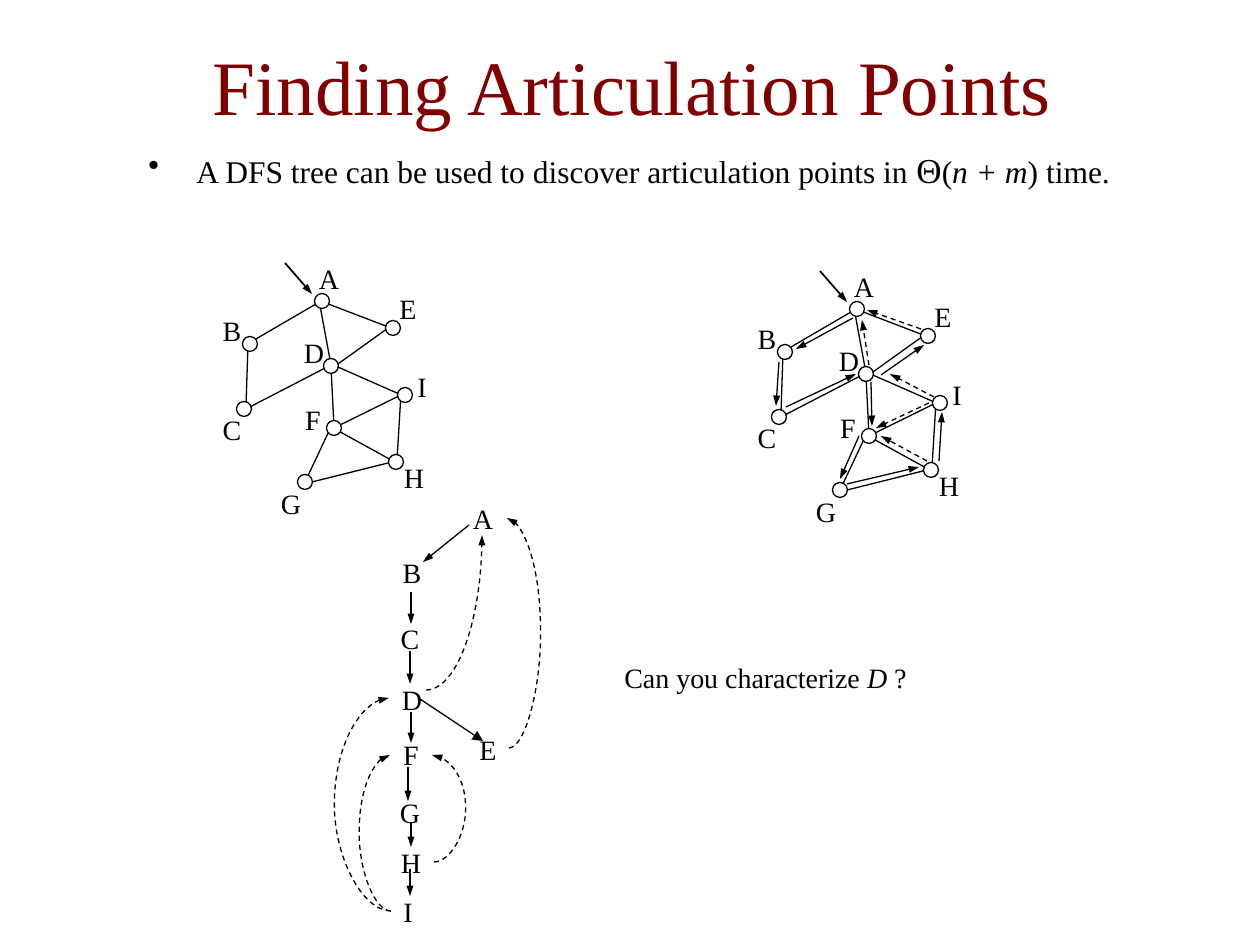
"""Build the slide on finding articulation points with a depth-first search tree."""
from math import cos, pi, sin

from lxml import etree
from pptx import Presentation
from pptx.dml.color import RGBColor
from pptx.enum.dml import MSO_LINE
from pptx.enum.shapes import MSO_CONNECTOR, MSO_SHAPE
from pptx.enum.text import MSO_ANCHOR, PP_ALIGN
from pptx.oxml.ns import qn
from pptx.util import Pt

STRAIGHT, CURVE = MSO_CONNECTOR.STRAIGHT, MSO_CONNECTOR.CURVE
OVAL, DASH = MSO_SHAPE.OVAL, MSO_LINE.DASH
MIDDLE, BOTTOM, TOP = MSO_ANCHOR.MIDDLE, MSO_ANCHOR.BOTTOM, MSO_ANCHOR.TOP
CENTER, LEFT = PP_ALIGN.CENTER, PP_ALIGN.LEFT

FONT = "Times New Roman"
BLACK, WHITE, MAROON = "000000", "FFFFFF", "800000"
SCALE = 914400 / 126
NODE_SIZE = 15
LABEL_SIZE = (45, 47)

TITLE = [("Finding Articulation Points", {})]
BULLET = [
    ("A DFS tree can be used to discover articulation points in ", {}),
    ("Θ", {"size": Pt(20)}),
    ("(", {}),
    ("n + m", {"italic": True}),
    (") time.", {}),
]
QUESTION = [("Can you characterize ", {}), ("D", {"italic": True}), (" ?", {})]

GRAPH_OFFSETS = [(0, 0), (535, 8)]
ENTRY_ARROW = (285, 263, 312, 294)
NODES = [
    (322, 301), (250, 344), (244, 409), (331, 366), (393, 328),
    (334, 428), (305, 482), (396, 462), (405, 395),
]
NODE_LABELS = {
    "A": (329, 278), "B": (232, 330), "C": (232, 429), "D": (314, 352),
    "E": (408, 308), "F": (313, 419), "G": (291, 503), "H": (414, 477),
    "I": (422, 386),
}
EDGES = [
    (256, 339, 316, 304), (248, 345, 246, 406), (319, 300, 331, 365),
    (331, 367, 334, 427), (331, 427, 306, 480), (333, 428, 393, 461),
    (304, 484, 396, 461), (323, 302, 391, 328), (244, 410, 333, 364),
    (331, 369, 391, 326), (401, 394, 397, 460), (334, 428, 407, 392),
    (331, 364, 406, 397),
]
DISCOVERY_ARROWS = [
    (881, 375, 924, 345), (853, 318, 796, 349), (779, 362, 776, 406),
    (786, 407, 856, 374), (871, 382, 872, 426), (939, 461, 942, 412),
    (847, 484, 919, 467), (859, 436, 840, 479),
]
BACK_ARROWS = [
    (921, 329, 867, 310), (869, 365, 862, 320), (934, 397, 890, 374),
    (929, 403, 876, 428), (927, 461, 881, 436),
]
TREE_LABELS = {
    "A": (483, 518), "B": (412, 572), "C": (410, 638), "D": (412, 699),
    "E": (488, 749), "F": (411, 754), "G": (410, 812), "H": (411, 862),
    "I": (408, 911),
}
TREE_ARROWS = [
    (469, 525, 423, 562), (411, 592, 411, 624), (410, 651, 410, 684),
    (411, 712, 411, 743), (408, 767, 408, 801), (411, 822, 411, 847),
    (410, 869, 410, 896),
]
BRANCH_ARROW = (420, 699, 483, 741)
BACK_CURVES = [
    ((509, 748, 507, 518), 541), ((434, 862, 432, 755), 466),
    ((391, 911, 390, 755), 359), ((391, 911, 389, 698), 334),
]
BACK_ARC = (426, 690, 482, 535)


def px(length):
    return round(length * SCALE)


def color(value):
    return RGBColor.from_string(value)


def style_line(shape, width=0.75, dashed=False, head=None):
    line = shape.line
    line.width = Pt(width)
    line.fill.solid()
    line.fill.fore_color.rgb = color(BLACK)
    if dashed:
        line.dash_style = DASH
    if head:
        outline = shape._element.spPr.find(qn("a:ln"))
        etree.SubElement(outline, qn("a:tailEnd"), type="triangle", w=head, len="med")


def add_line(page, ends, kind=STRAIGHT, **style):
    line = page.shapes.add_connector(kind, *map(px, ends))
    style_line(line, **style)
    etree.SubElement(line._element.spPr, qn("a:effectLst"))
    return line


def add_curve(page, ends, bulge):
    curve = add_line(page, ends, CURVE, dashed=True, head="sm")
    ratio = (bulge - ends[0]) / (ends[2] - ends[0])
    geometry = curve._element.spPr.find(qn("a:prstGeom"))
    guides = geometry.find(qn("a:avLst"))
    if guides is None:
        guides = etree.SubElement(geometry, qn("a:avLst"))
    etree.SubElement(guides, qn("a:gd"), name="adj1", fmla=f"val {round(ratio * 100000)}")


def add_arc(page, ends, steps=24):
    left, bottom, right, top = ends
    points = []
    for step in range(steps + 1):
        angle = pi / 2 * step / steps
        points.append((px(left + (right - left) * sin(angle)),
                       px(top + (bottom - top) * cos(angle))))
    builder = page.shapes.build_freeform(*points[0])
    builder.add_line_segments(points[1:], close=False)
    arc = builder.convert_to_shape()
    arc.fill.background()
    arc.shadow.inherit = False
    style_line(arc, dashed=True, head="sm")


def add_text(page, area, runs, size=16, fill=BLACK, align=CENTER, anchor=MIDDLE, wrap=False):
    box = page.shapes.add_textbox(*map(px, area))
    frame = box.text_frame
    frame.word_wrap = wrap
    frame.vertical_anchor = anchor
    para = frame.paragraphs[0]
    para.alignment = align
    para.font.name = FONT
    para.font.size = Pt(size)
    para.font.color.rgb = color(fill)
    for text, changes in runs:
        span = para.add_run()
        span.text = text
        for name, value in changes.items():
            setattr(span.font, name, value)
    return frame


def add_label(page, letter, x, y):
    width, height = LABEL_SIZE
    add_text(page, (x - width / 2, y - height / 2, width, height), [(letter, {})])


def add_graph(page, dx, dy):
    for x1, y1, x2, y2 in EDGES:
        add_line(page, (x1 + dx, y1 + dy, x2 + dx, y2 + dy))
    for x, y in NODES:
        corner = (x + dx - NODE_SIZE / 2, y + dy - NODE_SIZE / 2)
        node = page.shapes.add_shape(OVAL, *map(px, (*corner, NODE_SIZE, NODE_SIZE)))
        node.shadow.inherit = False
        node.fill.solid()
        node.fill.fore_color.rgb = color(WHITE)
        style_line(node)
    x1, y1, x2, y2 = ENTRY_ARROW
    add_line(page, (x1 + dx, y1 + dy, x2 + dx, y2 + dy), width=1, head="sm")
    for letter, (x, y) in NODE_LABELS.items():
        add_label(page, letter, x + dx, y + dy)


def main():
    deck = Presentation()
    deck.slide_width, deck.slide_height = px(1260), px(945)
    page = deck.slides.add_slide(deck.slide_layouts[6])

    title = add_text(page, (34, 26, 1197, 105), TITLE, 44, MAROON, anchor=BOTTOM, wrap=True)
    title.margin_bottom = 0
    body = add_text(page, (136, 142, 1040, 624), BULLET, 18, align=LEFT, anchor=TOP, wrap=True)
    para = body.paragraphs[0]
    para.space_before = Pt(4)
    properties = para._p.get_or_add_pPr()
    properties.set("marL", str(px(48)))
    properties.set("indent", str(-px(48)))
    bullet = etree.Element(qn("a:buChar"), char="•")
    properties.find(qn("a:spcBef")).addnext(bullet)
    add_text(page, (611, 654, 309, 47), QUESTION)

    for offset in GRAPH_OFFSETS:
        add_graph(page, *offset)
    for ends in DISCOVERY_ARROWS + TREE_ARROWS:
        add_line(page, ends, head="sm")
    for ends in BACK_ARROWS:
        add_line(page, ends, dashed=True, head="sm")
    add_line(page, BRANCH_ARROW, head="med")
    for letter, center in TREE_LABELS.items():
        add_label(page, letter, *center)
    for ends, bulge in BACK_CURVES:
        add_curve(page, ends, bulge)
    add_arc(page, BACK_ARC)
    deck.save("out.pptx")


if __name__ == "__main__":
    main()
